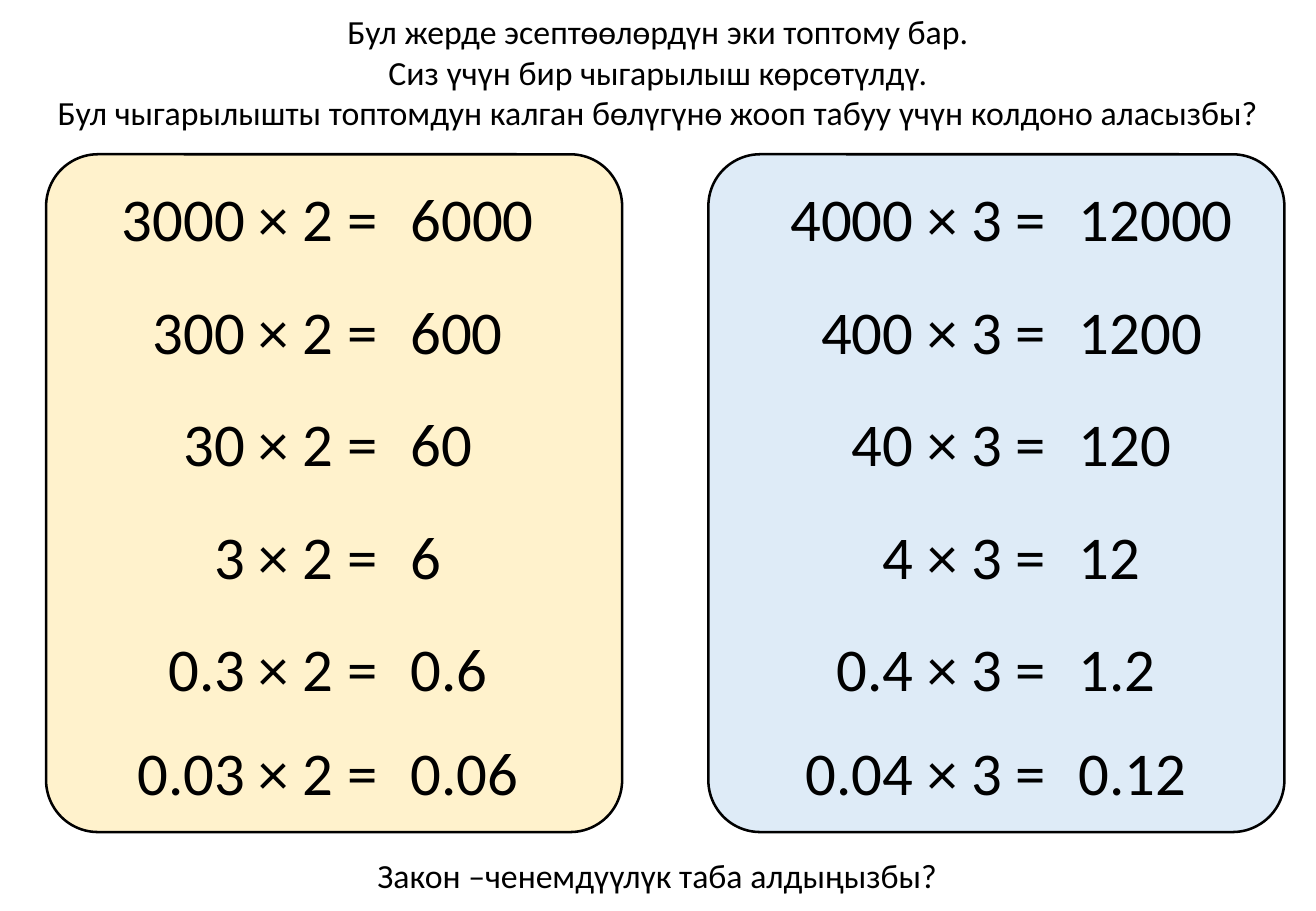
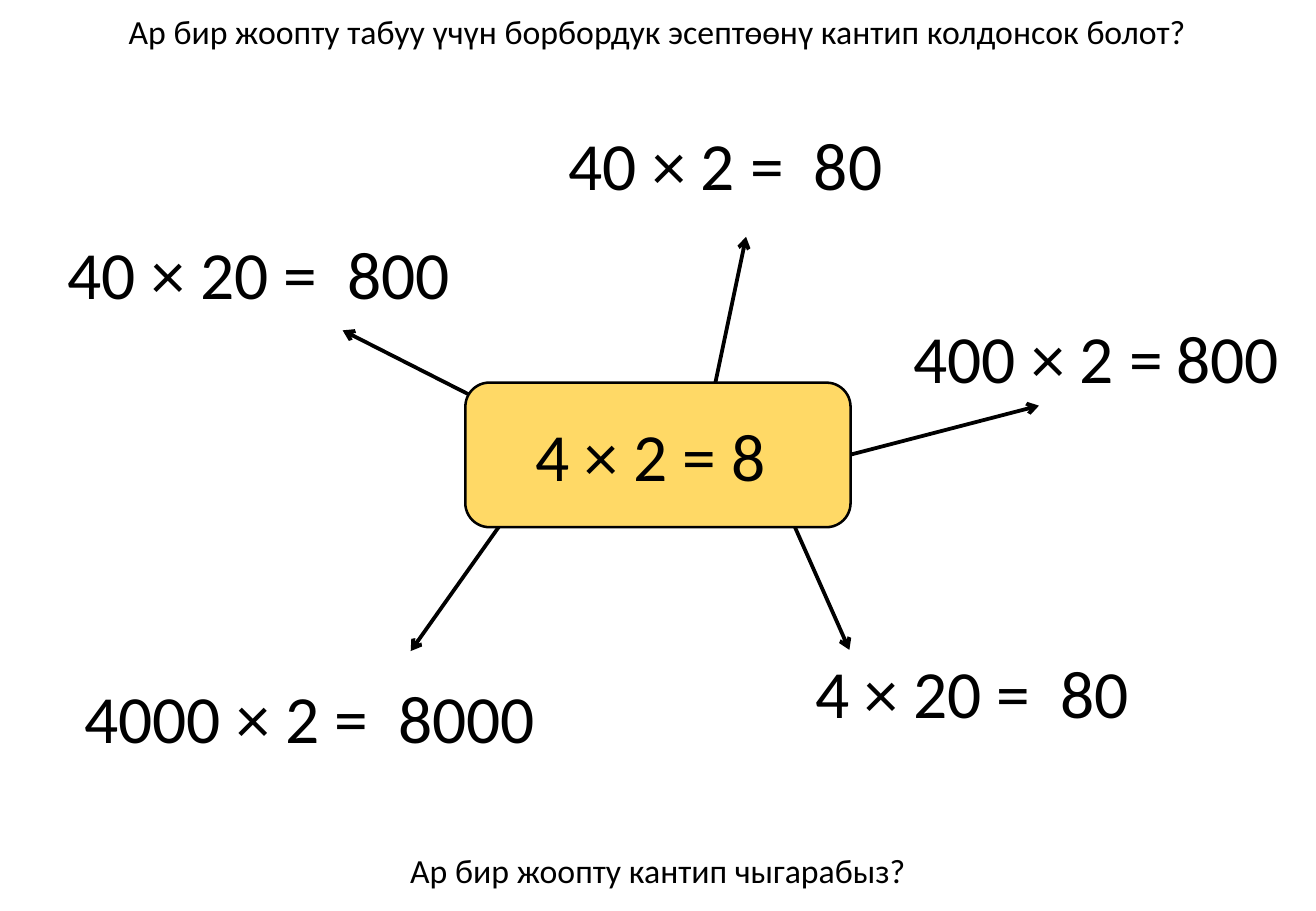
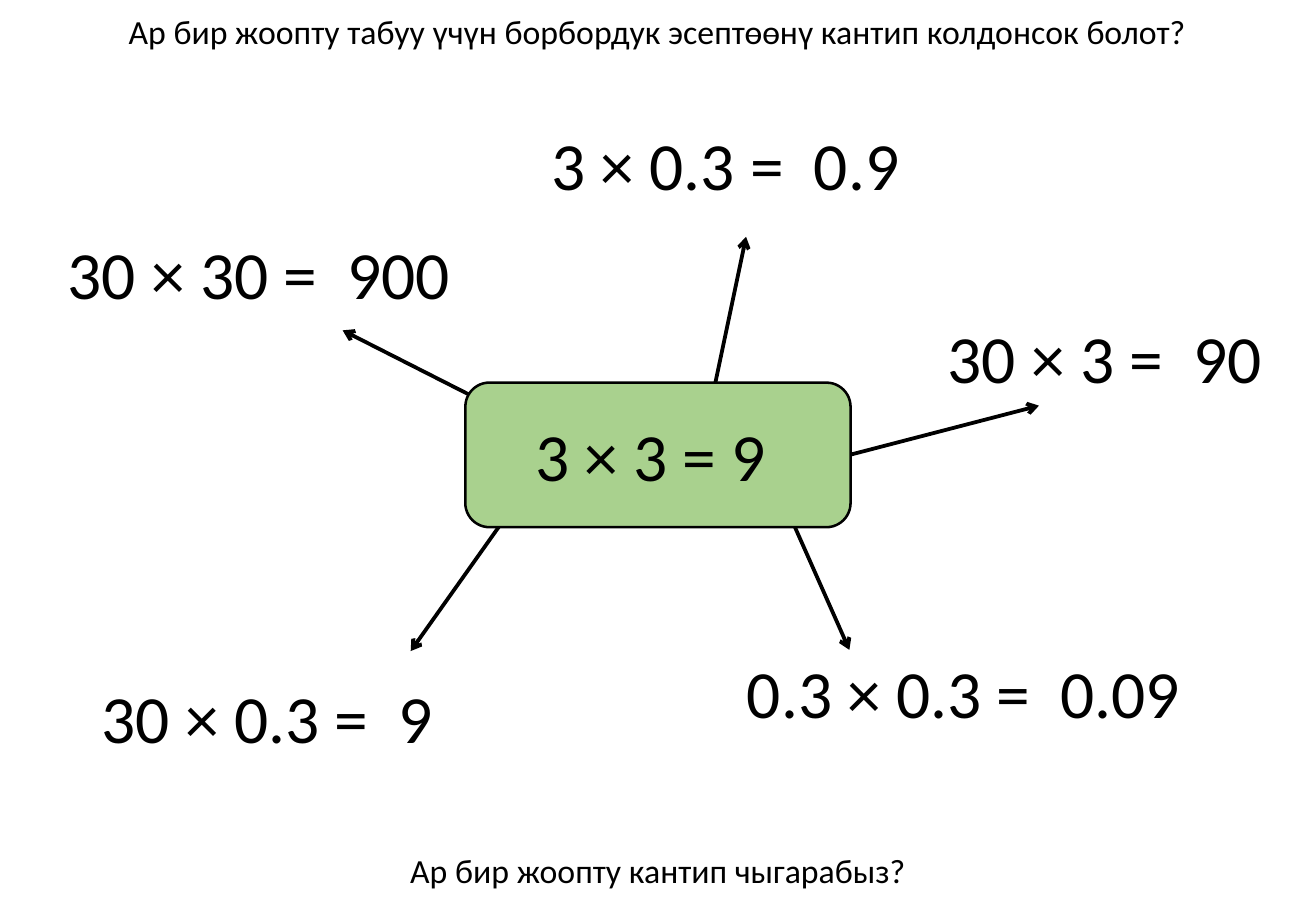
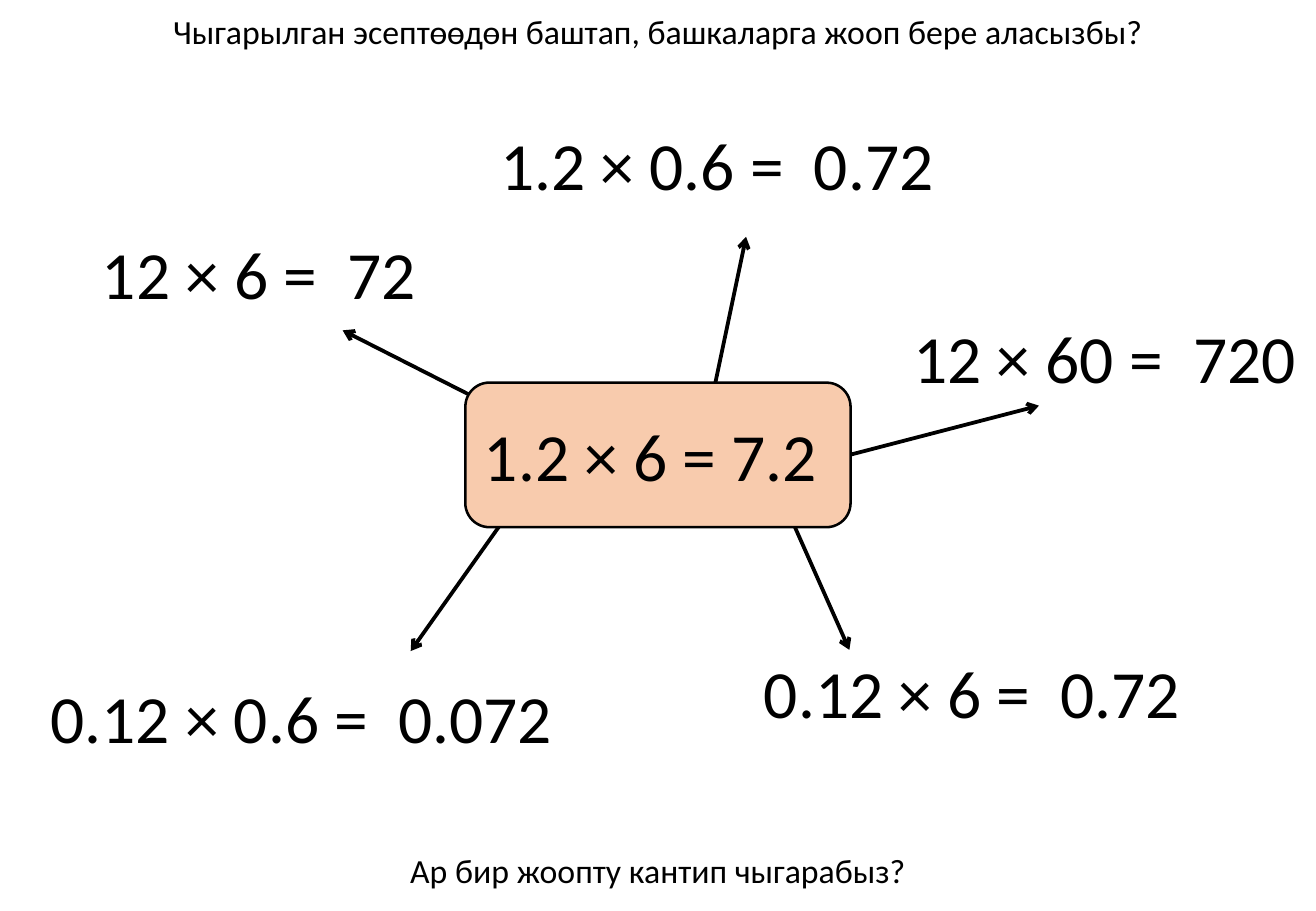
from lxml import etree
from pptx import Presentation
from pptx.dml.color import RGBColor
from pptx.enum.shapes import MSO_CONNECTOR, MSO_SHAPE
from pptx.enum.text import MSO_ANCHOR, MSO_AUTO_SIZE, PP_ALIGN
from pptx.oxml.ns import qn
from pptx.util import Emu, Pt

ROUNDED = MSO_SHAPE.ROUNDED_RECTANGLE
STRAIGHT = MSO_CONNECTOR.STRAIGHT
MIDDLE = MSO_ANCHOR.MIDDLE
FIT_TEXT = MSO_AUTO_SIZE.SHAPE_TO_FIT_TEXT
LEFT, CENTER, RIGHT = PP_ALIGN.LEFT, PP_ALIGN.CENTER, PP_ALIGN.RIGHT

PX = 9144
WIDTH, HEIGHT = 1083, 750
FONT = "Calibri"
BLACK = "000000"
CAPTION_SIZE, CARD_SIZE, STAR_SIZE = 20, 36, 40
INSET = 10
LINE_HEIGHT = 1.22
DIGIT_EM = 0.51
GLYPH_EM = {" ": 0.23, ".": 0.25, "×": 0.5, "=": 0.5}

CARD_INTRO = (
    "Бул жерде эсептөөлөрдүн эки топтому бар.\n"
    "Сиз үчүн бир чыгарылыш көрсөтүлдү.\n"
    "Бул чыгарылышты топтомдун калган бөлүгүнө жооп табуу үчүн колдоно аласызбы?"
)
CARD_QUESTION = "Закон –ченемдүүлүк таба алдыңызбы?"
CENTRAL_INTRO = "Ар бир жоопту табуу үчүн борбордук эсептөөнү кантип колдонсок болот?"
SOLVED_INTRO = "Чыгарылган эсептөөдөн баштап, башкаларга жооп бере аласызбы?"
STAR_QUESTION = "Ар бир жоопту кантип чыгарабыз?"

ROW_TOPS = [144, 237, 329, 422, 514, 600]
CARDS = [
    (38, 332, "FFF2CC", 2,
     [("3000", "6000"), ("300", "600"), ("30", "60"),
      ("3", "6"), ("0.3", "0.6"), ("0.03", "0.06")]),
    (583, 882, "DEEBF7", 3,
     [("4000", "12000"), ("400", "1200"), ("40", "120"),
      ("4", "12"), ("0.4", "1.2"), ("0.04", "0.12")]),
]

RAY_EQUALS = [(655, 96), (967, 255), (858, 531), (271, 186), (313, 552)]
ARROWS = [
    (408, 336, 282, 272),
    (586, 328, 614, 195),
    (678, 380, 855, 334),
    (648, 420, 699, 535),
    (421, 419, 338, 536),
]
STARS = [
    (CENTRAL_INTRO, 896, "FFD966", "4 × 2 = 8",
     [("40 × 2 =", "80"), ("400 × 2 =", "800", -9), ("4 × 20 =", "80"),
      ("40 × 20 =", "800"), ("4000 × 2 =", "8000")]),
    (CENTRAL_INTRO, 896, "A9D18E", "3 × 3 = 9",
     [("3 × 0.3 =", "0.9"), ("30 × 3 =", "90"), ("0.3 × 0.3 =", "0.09"),
      ("30 × 30 =", "900"), ("30 × 0.3 =", "9")]),
    (SOLVED_INTRO, 827, "F8CBAD", "1.2 × 6 = 7.2",
     [("1.2 × 0.6 =", "0.72"), ("12 × 60 =", "720"), ("0.12 × 6 =", "0.72"),
      ("12 × 6 =", "72"), ("0.12 × 0.6 =", "0.072")]),
]


def px(*lengths):
    return [Emu(length * PX) for length in lengths]


def rgb(value):
    return RGBColor.from_string(value)


def apply(target, settings):
    for name, value in settings.items():
        setattr(target, name, value)


def write(frame, text, size, align):
    frame.text = text
    for paragraph in frame.paragraphs:
        paragraph.alignment = align
        apply(paragraph.font, {"name": FONT, "size": Pt(size)})
        paragraph.font.color.rgb = rgb(BLACK)


def math_width(text, size):
    ems = sum(GLYPH_EM.get(glyph, DIGIT_EM) for glyph in text)
    return round(ems * size * 100 / 72) + 2 * INSET


def add_label(slide, text, left, top, width, size, align):
    lines = text.count("\n") + 1
    height = round(lines * size * LINE_HEIGHT * 100 / 72) + INSET
    frame = slide.shapes.add_textbox(*px(left, top, width, height)).text_frame
    apply(frame, {"word_wrap": False, "auto_size": FIT_TEXT})
    write(frame, text, size, align)


def add_caption(slide, text, top, width):
    add_label(slide, text, (WIDTH - width) // 2, top, width, CAPTION_SIZE, CENTER)


def add_equation(slide, equals_edge, top, size, problem, answer, gap):
    width = math_width(problem, size)
    add_label(slide, problem, equals_edge - width, top, width, size, RIGHT)
    add_label(slide, answer, equals_edge + gap, top, math_width(answer, size), size, LEFT)


def add_panel(slide, left, top, width, height, fill):
    panel = slide.shapes.add_shape(ROUNDED, *px(left, top, width, height))
    panel.shadow.inherit = False
    panel.fill.solid()
    panel.fill.fore_color.rgb = rgb(fill)
    panel.line.color.rgb = rgb(BLACK)
    panel.line.width = Pt(1.5)
    return panel


def add_arrow(slide, ends):
    arrow = slide.shapes.add_connector(STRAIGHT, *px(*ends))
    arrow.line.color.rgb = rgb(BLACK)
    arrow.line.width = Pt(2.25)
    etree.SubElement(arrow.line._get_or_add_ln(), qn("a:tailEnd"), type="arrow")
    etree.SubElement(arrow._element.spPr, qn("a:effectLst"))


def build_cards(slide):
    for left, equals_edge, fill, factor, rows in CARDS:
        add_panel(slide, left, 127, 474, 558, fill).adjustments[0] = 0.09
        for top, (number, answer) in zip(ROW_TOPS, rows):
            problem = f"{number} × {factor} = "
            add_equation(slide, equals_edge, top, CARD_SIZE, problem, answer, -4)
    add_caption(slide, CARD_INTRO, 4, 1011)
    add_caption(slide, CARD_QUESTION, 699, 486)


def build_star(slide, intro, intro_width, fill, known, rays):
    for (equals_edge, top), (problem, answer, *gap) in zip(RAY_EQUALS, rays):
        add_equation(slide, equals_edge, top, STAR_SIZE, problem, answer, *(gap or [5]))
    add_caption(slide, intro, 4, intro_width)
    for ends in ARROWS:
        add_arrow(slide, ends)
    frame = add_panel(slide, 383, 315, 317, 119, fill).text_frame
    apply(frame, {"word_wrap": False, "vertical_anchor": MIDDLE,
                  "margin_right": Emu(22 * PX)})
    write(frame, known, STAR_SIZE, CENTER)
    add_caption(slide, STAR_QUESTION, 695, 431)


def main():
    deck = Presentation()
    deck.slide_width, deck.slide_height = px(WIDTH, HEIGHT)
    blank = deck.slide_layouts[6]
    build_cards(deck.slides.add_slide(blank))
    for star in STARS:
        build_star(deck.slides.add_slide(blank), *star)
    deck.save("out.pptx")


if __name__ == "__main__":
    main()
